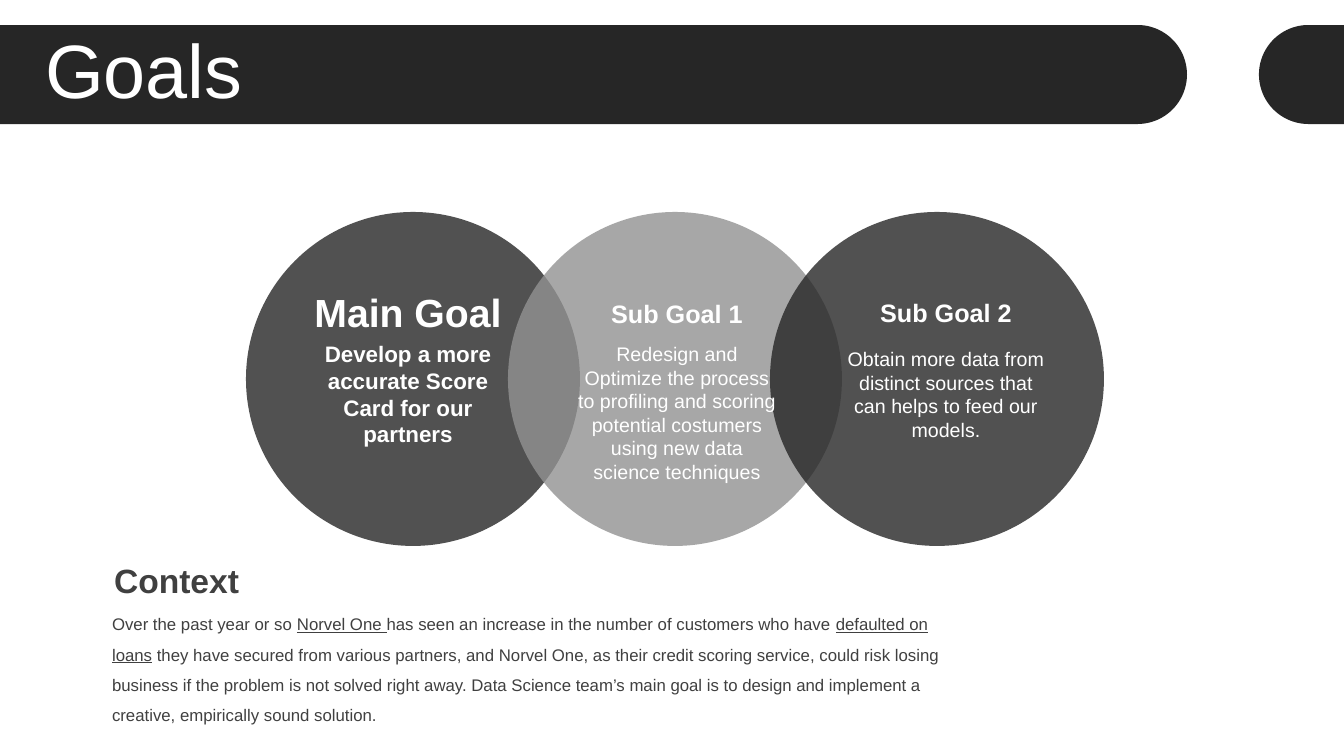
from math import cos, pi, sin

from lxml import etree
from pptx import Presentation, util as u
from pptx.dml.color import RGBColor
from pptx.enum import shapes, text
from pptx.oxml.ns import qn

SCALE = 914400 / 100.8


def px(n):
    return u.Emu(round(n * SCALE))


class Theme:
    font = "Arial"
    dark, mid, ink, white = "262626", "929292", "404040", "FFFFFF"
    title, main, head, sub, lead, body, note = 54, 28, 24, 18, 16, 14, 12


class Deck:
    def __init__(self, wide, high):
        self.prs = Presentation()
        self.prs.slide_width, self.prs.slide_height = px(wide), px(high)
        self.slide = self.prs.slides.add_slide(self.prs.slide_layouts[6])

    def paint(self, shape, color, alpha=None):
        shape.shadow.inherit = False
        shape.fill.solid()
        shape.fill.fore_color.rgb = RGBColor.from_string(color)
        shape.line.fill.background()
        if alpha:
            tone = shape.fill._xPr.find(".//" + qn("a:srgbClr"))
            etree.SubElement(tone, qn("a:alpha"), val=str(alpha * 1000))

    def bar(self, flat, tip, top, high, color):
        """Bar with a square end at flat and a round end at tip."""
        rad = high / 2
        way = 1 if tip > flat else -1
        arc = [(tip + way * rad * (cos(a) - 1), top + rad + rad * sin(a))
               for a in (pi * (i / 48 - 0.5) for i in range(49))]
        dots = [(px(x), px(y)) for x, y in arc + [(flat, top + high)]]
        form = self.slide.shapes.build_freeform(px(flat), px(top), scale=1)
        form.add_line_segments(dots, close=True)
        self.paint(form.convert_to_shape(), color)

    def disc(self, x, y, size, color, alpha):
        kind = shapes.MSO_SHAPE.OVAL
        oval = self.slide.shapes.add_shape(kind, px(x), px(y), px(size), px(size))
        self.paint(oval, color, alpha)

    def text(self, words, box, size, color=Theme.white, bold=False, align="LEFT",
             pad=10, lead=None, before=None, anchor="TOP"):
        """Words are a string, or (string, underlined) pairs."""
        frame = self.slide.shapes.add_textbox(*map(px, box)).text_frame
        frame.word_wrap = True
        frame.margin_left = frame.margin_right = px(pad)
        frame.margin_top = frame.margin_bottom = px(5)
        frame.vertical_anchor = getattr(text.MSO_ANCHOR, anchor)
        para = frame.paragraphs[0]
        para.alignment = getattr(text.PP_ALIGN, align)
        para.line_spacing = lead
        if before:
            para.space_before = u.Pt(before)
        for part, line in [(words, False)] if isinstance(words, str) else words:
            run = para.add_run()
            run.text = part
            font = run.font
            font.name, font.size, font.bold = Theme.font, u.Pt(size), bold
            font.underline = line
            font.color.rgb = RGBColor.from_string(color)


deck = Deck(1344, 756)

# Title band
deck.bar(0, 1187, 25, 99, Theme.dark)
deck.bar(1344, 1259, 25, 99, Theme.dark)
deck.text("Goals", (35, 34, 1276, 80), Theme.title, lead=0.9, before=10,
          anchor="MIDDLE")

# Overlapping circles
for i, tint in enumerate((Theme.dark, Theme.mid, Theme.dark)):
    deck.disc(246 + 262 * i, 212, 334, tint, 80)

# Goals: heading, top, height, size; then body, top, height, size, bold
goals = [
    ("Main Goal", 283, 57, Theme.main,
     "Develop a more accurate Score Card for our partners",
     335, 119, Theme.lead, True),
    ("Sub Goal 1", 293, 40, Theme.sub,
     "Redesign and Optimize the process to profiling and scoring potential "
     "costumers using new data science techniques",
     337, 152, Theme.body, False),
    ("Sub Goal 2", 292, 40, Theme.sub,
     "Obtain more data from distinct sources that can helps to feed our models.",
     342, 105, Theme.body, False),
]
for i, (head, top, high, size, body, low, deep, small, bold) in enumerate(goals):
    left = 298 + 269 * i
    deck.text(head, (left, top, 220, high), size, bold=True, align="CENTER")
    deck.text(body, (left, low, 220, deep), small, bold=bold, align="CENTER", pad=8)

# Context
deck.text("Context", (104, 555, 867, 50), Theme.head, Theme.ink, bold=True)
deck.text([
    ("Over the past year or so ", False),
    ("Norvel One ", True),
    ("has seen an increase in the number of customers who have ", False),
    ("defaulted on loans", True),
    (" they have secured from various partners, and Norvel One, as their credit "
     "scoring service, could risk losing business if the problem is not solved "
     "right away. Data Science team’s main goal is to design and implement a "
     "creative, empirically sound solution.", False),
], (104, 599, 867, 132), Theme.note, Theme.ink, pad=8, lead=1.5)

deck.prs.save("out.pptx")
